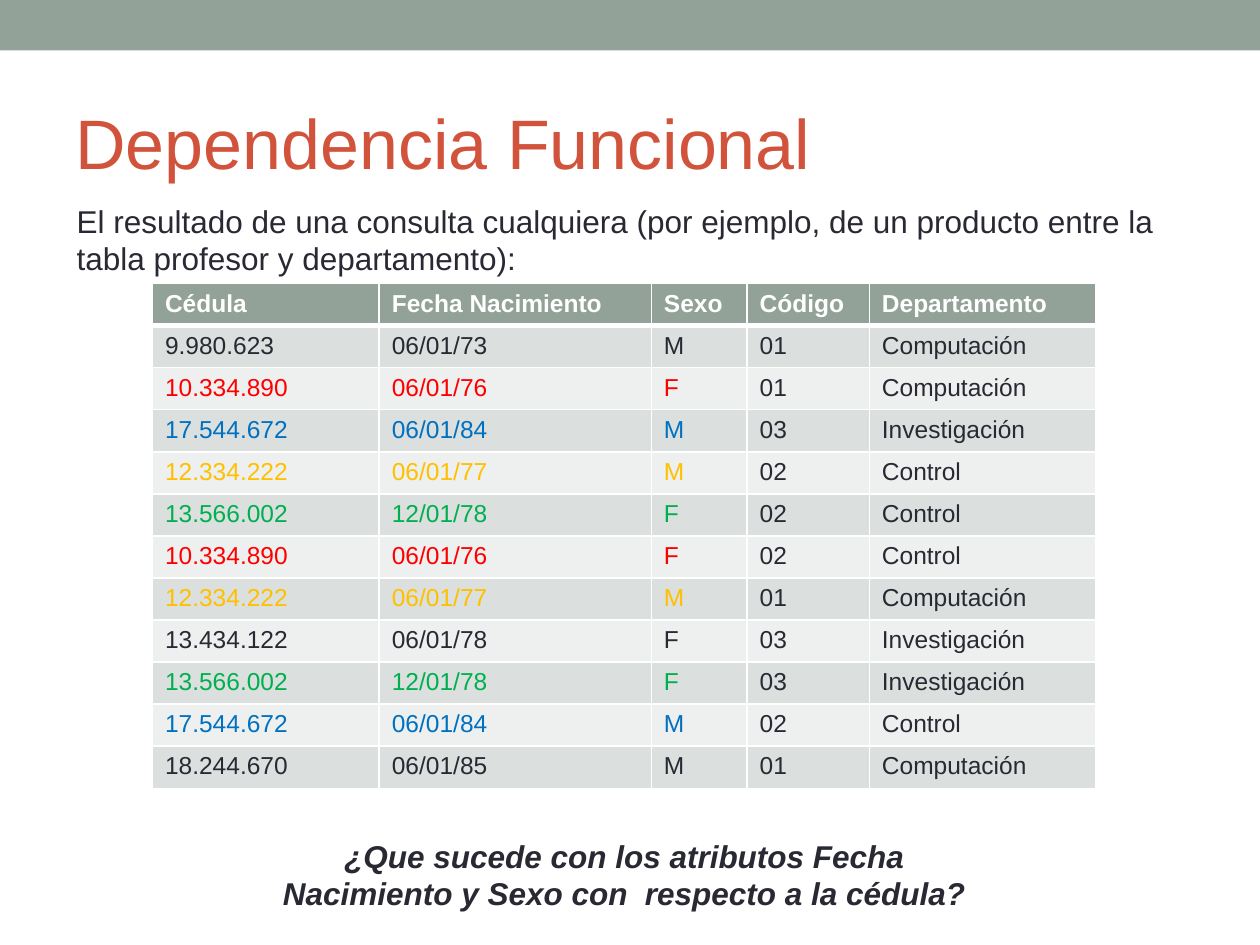
from lxml import etree
from pptx import Presentation
from pptx import util as u
from pptx.dml.color import RGBColor
from pptx.enum import shapes, text
from pptx.oxml import ns

SAGE = "93A299"
RUST = "D2533C"
INK = "292934"
WHITE = "FFFFFF"
BANDS = ("DBDFDD", "EEF0EF")
RED, BLUE, AMBER, GREEN = "FF0000", "0070C0", "FFC000", "00B050"

HEADERS = ("Cédula", "Fecha Nacimiento", "Sexo", "Código", "Departamento")
COLUMN_WIDTHS = (1.8, 2.16, 0.76, 0.97, 1.8)
ROW_HEIGHT = 0.29

DEPARTMENTS = {"01": "Computación", "02": "Control", "03": "Investigación"}
PROFESSORS = {
    "9.980.623": ("06/01/73", "M", INK),
    "10.334.890": ("06/01/76", "F", RED),
    "17.544.672": ("06/01/84", "M", BLUE),
    "12.334.222": ("06/01/77", "M", AMBER),
    "13.566.002": ("12/01/78", "F", GREEN),
    "13.434.122": ("06/01/78", "F", INK),
    "18.244.670": ("06/01/85", "M", INK),
}
ASSIGNMENTS = (
    ("9.980.623", "01"),
    ("10.334.890", "01"),
    ("17.544.672", "03"),
    ("12.334.222", "02"),
    ("13.566.002", "02"),
    ("10.334.890", "02"),
    ("12.334.222", "01"),
    ("13.434.122", "03"),
    ("13.566.002", "03"),
    ("17.544.672", "02"),
    ("18.244.670", "01"),
)


def color(value):
    return RGBColor.from_string(value)


class SlideBuilder:
    font = "Arial"

    def __init__(self, slide):
        self.slide = slide

    def run(self, paragraph, content, size, ink, bold=False, italic=False):
        run = paragraph.add_run()
        run.text = content
        run.font.name = self.font
        run.font.size = u.Pt(size)
        run.font.bold = bold
        run.font.italic = italic
        run.font.color.rgb = color(ink)

    def bar(self, box, fill):
        shape = self.slide.shapes.add_shape(
            shapes.MSO_SHAPE.RECTANGLE, *map(u.Inches, box))
        shape.shadow.inherit = False
        shape.fill.solid()
        shape.fill.fore_color.rgb = color(fill)
        shape.line.fill.background()

    def text(self, box, content, size, ink, anchor=text.MSO_ANCHOR.TOP,
             align=text.PP_ALIGN.LEFT, **style):
        shape = self.slide.shapes.add_textbox(*map(u.Inches, box))
        frame = shape.text_frame
        frame.word_wrap = True
        frame.vertical_anchor = anchor
        paragraph = frame.paragraphs[0]
        paragraph.alignment = align
        self.run(paragraph, content, size, ink, **style)

    def borders(self, cell, widths):
        properties = cell._tc.get_or_add_tcPr()
        for position, (side, width) in enumerate(widths.items()):
            line = etree.Element(ns.qn(f"a:ln{side}"), w=str(u.Pt(width)))
            fill = etree.SubElement(line, ns.qn("a:solidFill"))
            etree.SubElement(fill, ns.qn("a:srgbClr"), val=WHITE)
            properties.insert(position, line)

    def cell(self, cell, content, ink, fill, widths, bold=False):
        cell.fill.solid()
        cell.fill.fore_color.rgb = color(fill)
        self.run(cell.text_frame.paragraphs[0], content, 14, ink, bold)
        self.borders(cell, widths)

    def table(self, left, top, headers, rows):
        count = len(rows) + 1
        table = self.slide.shapes.add_table(
            count, len(headers), u.Inches(left), u.Inches(top),
            u.Inches(sum(COLUMN_WIDTHS)), u.Inches(ROW_HEIGHT * count)).table
        table.horz_banding = False
        for column, width in zip(table.columns, COLUMN_WIDTHS):
            column.width = u.Inches(width)
        for row in table.rows:
            row.height = u.Inches(ROW_HEIGHT)
        for column, header in enumerate(headers):
            self.cell(table.cell(0, column), header, WHITE, SAGE,
                      {"L": 1, "R": 1, "T": 1, "B": 3}, bold=True)
        for index, row in enumerate(rows):
            widths = {"L": 1, "R": 1, "T": 1 if index else 3, "B": 1}
            for column, (content, ink) in enumerate(row):
                self.cell(table.cell(index + 1, column), content, ink,
                          BANDS[index % 2], widths)


def query_row(cedula, code):
    birth, sex, ink = PROFESSORS[cedula]
    return [(cedula, ink), (birth, ink), (sex, ink),
            (code, INK), (DEPARTMENTS[code], INK)]


def main():
    presentation = Presentation()
    presentation.slide_width = u.Inches(10)
    presentation.slide_height = u.Inches(7.5)
    builder = SlideBuilder(
        presentation.slides.add_slide(presentation.slide_layouts[6]))
    builder.bar((0, 0, 10, 0.4), SAGE)
    builder.text((0.5, 0.58, 9, 1.08), "Dependencia Funcional", 40, RUST,
                 anchor=text.MSO_ANCHOR.MIDDLE)
    builder.table(1.21, 2.25, HEADERS,
                  [query_row(*assignment) for assignment in ASSIGNMENTS])
    builder.text((0.51, 1.55, 8.98, 0.71),
                 "El resultado de una consulta cualquiera (por ejemplo, de un "
                 "producto entre la tabla profesor y departamento):", 18, INK)
    builder.text((2.09, 6.59, 5.73, 0.71),
                 "¿Que sucede con los atributos Fecha Nacimiento y Sexo con  "
                 "respecto a la cédula?", 18, INK,
                 align=text.PP_ALIGN.CENTER, bold=True, italic=True)
    presentation.save("out.pptx")


if __name__ == "__main__":
    main()
